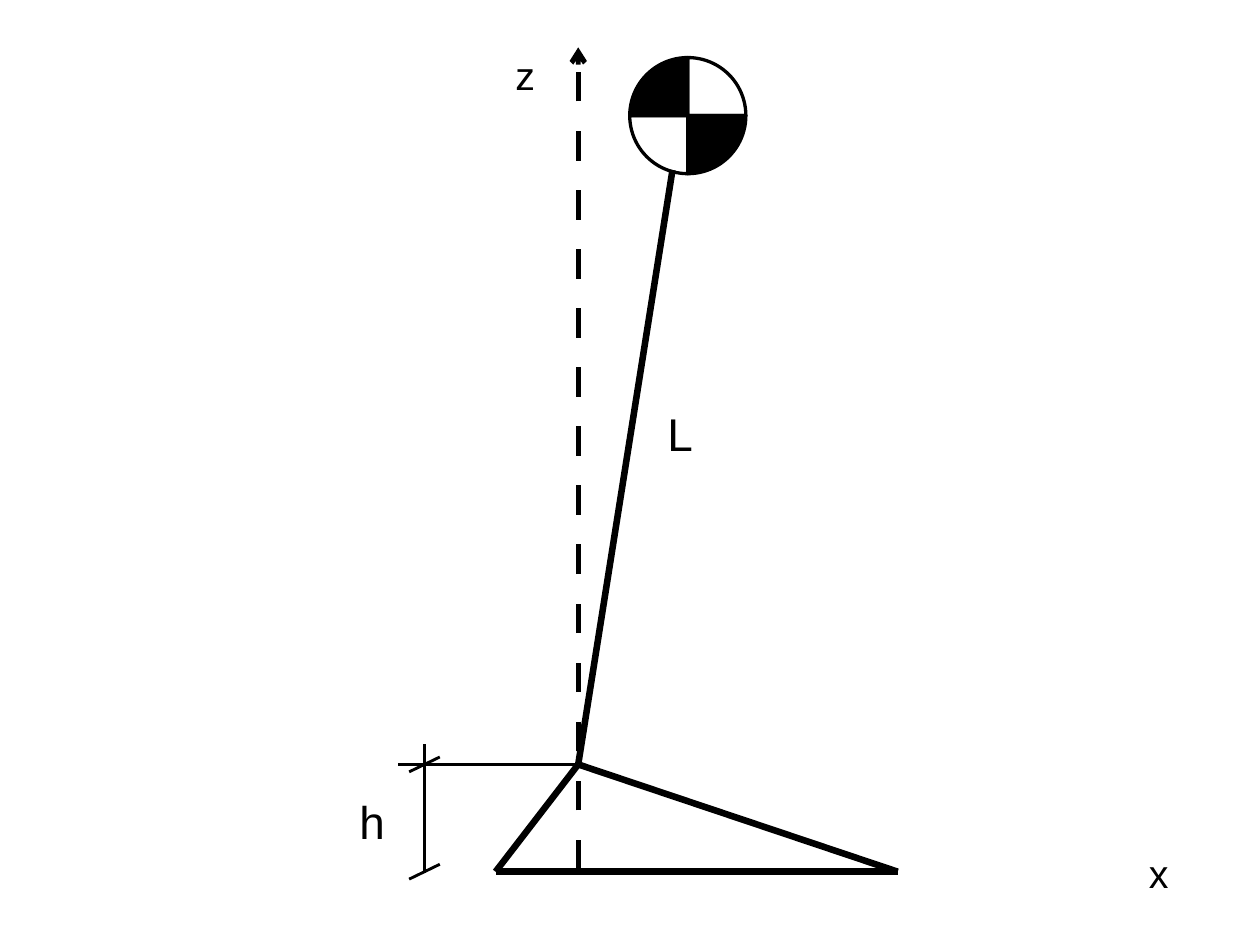
from typing import NamedTuple

from lxml.etree import SubElement
from pptx import Presentation
from pptx.dml.color import RGBColor
from pptx.enum.shapes import MSO_CONNECTOR, MSO_SHAPE
from pptx.enum.text import MSO_ANCHOR, MSO_AUTO_SIZE, PP_ALIGN
from pptx.oxml.ns import qn
from pptx.util import Cm, Pt

COLORS = {"ink": "000000"}
INK = RGBColor.from_string(COLORS["ink"])
FONT = "Arial"


class Point(NamedTuple):
    x: float
    y: float


class Label(NamedTuple):
    text: str
    left: float
    top: float
    width: float
    height: float
    size: int


class Quadrant(NamedTuple):
    column: int
    row: int
    rotation: int
    filled: bool


# Geometry in centimetres
MASS_CENTER, MASS_RADIUS = Point(14.81, 2.49), 1.25
ANKLE, HEEL, TOE = Point(12.45, 16.46), Point(10.67, 18.77), Point(19.33, 18.77)
LEG_TOP = Point(14.48, 3.66)
AXIS_BOTTOM, AXIS_TOP = Point(12.45, 18.72), Point(12.45, 1.02)
DIMENSION_X = 9.14
TICK_HALF = Point(0.33, 0.16)

QUADRANTS = [
    Quadrant(0, -1, 90, False),
    Quadrant(-1, -1, 0, True),
    Quadrant(-1, 0, 270, False),
    Quadrant(0, 0, 180, True),
]
LABELS = [
    Label("x", 24.59, 18.14, 0.71, 1.32, 24),
    Label("z", 10.95, 0.94, 0.71, 1.32, 24),
    Label("L", 14.22, 8.59, 0.84, 1.47, 28),
    Label("h", 7.59, 16.94, 0.84, 1.47, 28),
]


def add_line(shapes, start: Point, end: Point, width: float, axis: bool = False) -> None:
    line = shapes.add_connector(
        MSO_CONNECTOR.STRAIGHT, Cm(start.x), Cm(start.y), Cm(end.x), Cm(end.y))
    line.line.color.rgb = INK
    line.line.width = Pt(width)
    properties = line._element.spPr
    if axis:
        outline = properties.find(qn("a:ln"))
        dashes = SubElement(outline, qn("a:custDash"))
        SubElement(dashes, qn("a:ds"), d="600000", sp="600000")
        SubElement(outline, qn("a:tailEnd"), type="arrow")
    SubElement(properties, qn("a:effectLst"))


def add_quadrant(shapes, quadrant: Quadrant) -> None:
    wedge = shapes.add_shape(
        MSO_SHAPE.PIE_WEDGE,
        Cm(MASS_CENTER.x + quadrant.column * MASS_RADIUS),
        Cm(MASS_CENTER.y + quadrant.row * MASS_RADIUS),
        Cm(MASS_RADIUS), Cm(MASS_RADIUS))
    wedge.rotation = quadrant.rotation
    wedge.shadow.inherit = False
    wedge.line.color.rgb = INK
    wedge.line.width = Pt(2)
    if quadrant.filled:
        wedge.fill.solid()
        wedge.fill.fore_color.rgb = INK
    else:
        wedge.fill.background()


def add_text(shapes, text: str, *, left: float, top: float, width: float,
             height: float, size: int) -> None:
    box = shapes.add_textbox(Cm(left), Cm(top), Cm(width), Cm(height))
    frame = box.text_frame
    frame.word_wrap = False
    frame.auto_size = MSO_AUTO_SIZE.SHAPE_TO_FIT_TEXT
    frame.vertical_anchor = MSO_ANCHOR.MIDDLE
    frame.margin_left = frame.margin_right = Cm(0.15)
    frame.margin_top = frame.margin_bottom = Cm(0.15)
    para = frame.paragraphs[0]
    para.alignment = PP_ALIGN.CENTER
    span = para.add_run()
    span.text = text
    span.font.name = FONT
    span.font.size = Pt(size)
    span.font.color.rgb = INK


def main() -> None:
    deck = Presentation()
    deck.slide_width, deck.slide_height = Cm(27.13), Cm(20.09)
    page = deck.slides.add_slide(deck.slide_layouts[6])

    # Pendulum: mass, vertical axis and leg
    pendulum = page.shapes.add_group_shape().shapes
    for quadrant in QUADRANTS:
        add_quadrant(pendulum, quadrant)
    add_line(pendulum, AXIS_BOTTOM, AXIS_TOP, 3, axis=True)
    add_line(pendulum, ANKLE, LEG_TOP, 4)

    # Foot
    foot = page.shapes.add_group_shape().shapes
    for start, end in [(ANKLE, HEEL), (HEEL, TOE), (TOE, ANKLE)]:
        add_line(foot, start, end, 4)

    # Labels
    for label in LABELS:
        add_text(page.shapes, **label._asdict())

    # Ankle height dimension
    add_line(page.shapes, ANKLE, Point(8.56, ANKLE.y), 1.75)
    add_line(page.shapes, Point(DIMENSION_X, 18.8), Point(DIMENSION_X, 16.03), 1.75)
    for y in (ANKLE.y, HEEL.y):
        add_line(page.shapes,
                 Point(DIMENSION_X + TICK_HALF.x, y - TICK_HALF.y),
                 Point(DIMENSION_X - TICK_HALF.x, y + TICK_HALF.y), 1.75)

    deck.save("out.pptx")


if __name__ == "__main__":
    main()
